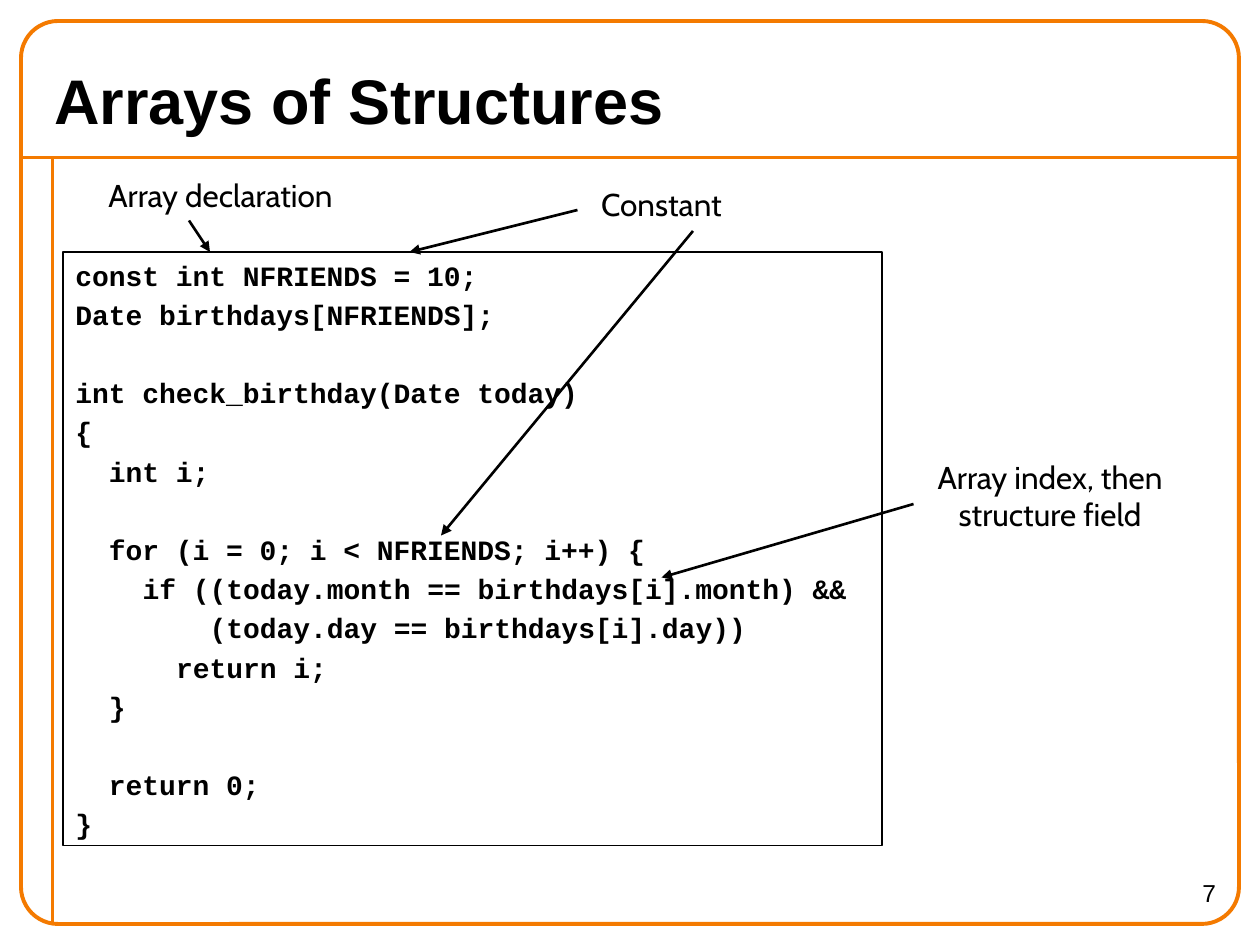
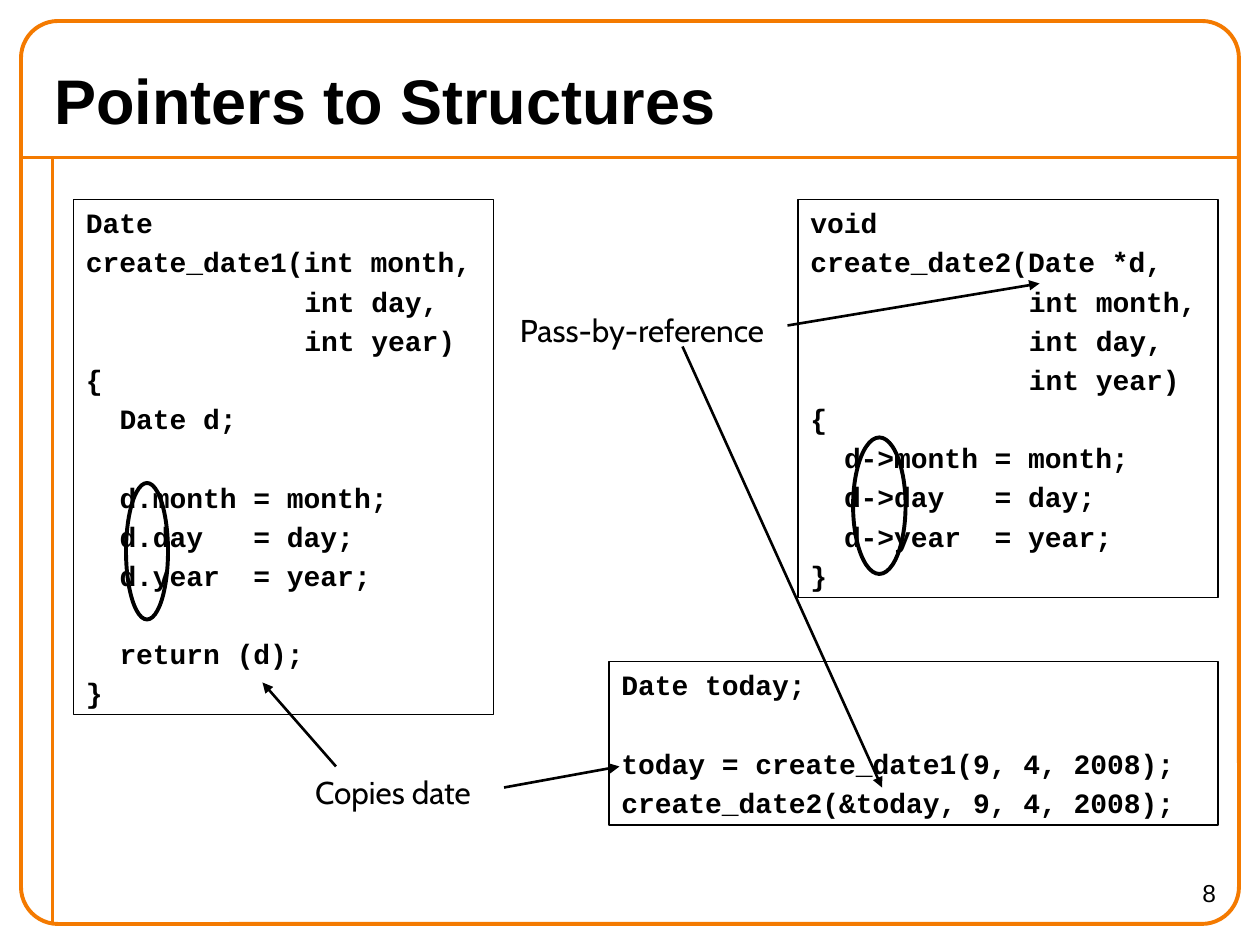
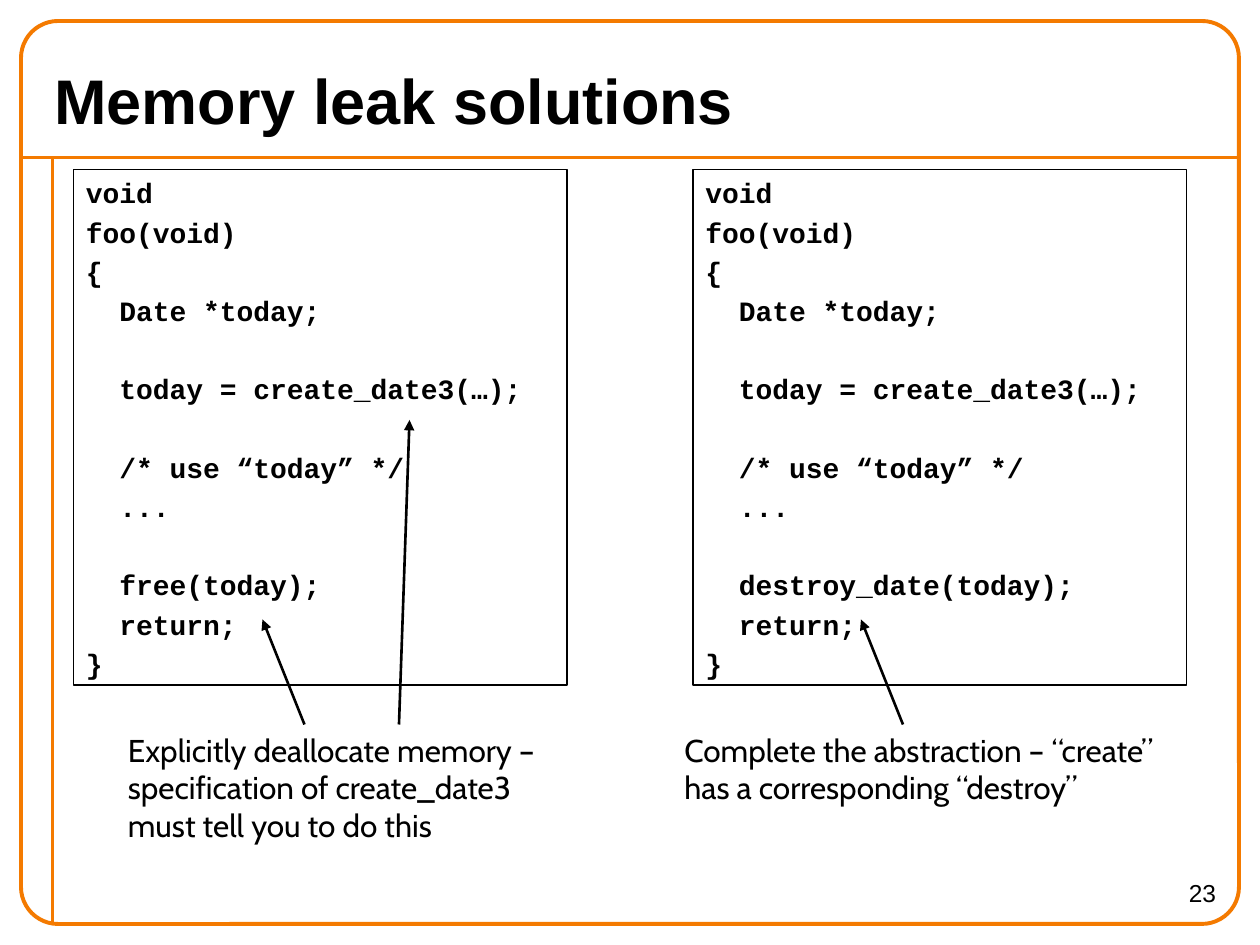
from dataclasses import dataclass

from lxml import etree
from pptx import Presentation
from pptx.dml.color import RGBColor
from pptx.enum.shapes import MSO_CONNECTOR, MSO_SHAPE
from pptx.enum.text import MSO_ANCHOR, PP_ALIGN
from pptx.oxml.ns import qn
from pptx.util import Pt

LEFT, CENTER, RIGHT = PP_ALIGN.LEFT, PP_ALIGN.CENTER, PP_ALIGN.RIGHT
TOP, MIDDLE = MSO_ANCHOR.TOP, MSO_ANCHOR.MIDDLE
RECT, ROUND_RECT, OVAL = MSO_SHAPE.RECTANGLE, MSO_SHAPE.ROUNDED_RECTANGLE, MSO_SHAPE.OVAL
STRAIGHT = MSO_CONNECTOR.STRAIGHT

BLACK, ORANGE = "000000", "F47A00"
HEAD_FONT, LABEL_FONT, CODE_FONT = "Arial", "Cabin", "Courier New"
THICK, MEDIUM, THIN = 2.24, 1.5, 0.74

CODE_SIZE = 16
CHAR_WIDTH = 0.6 * CODE_SIZE      # advance of one monospaced character
LINE_GAP = 0.2 * CODE_SIZE        # space before each code line
LINE_PITCH = 1.2 * CODE_SIZE + LINE_GAP


@dataclass
class Box:
    left: float
    top: float
    width: float
    height: float


@dataclass
class Code:
    box: Box
    text: str


@dataclass
class Label:
    box: Box
    text: str
    align: PP_ALIGN = LEFT


@dataclass
class Arrow:
    x1: float
    y1: float
    x2: float
    y2: float


@dataclass
class Ring:
    box: Box


@dataclass
class Page:
    title: str
    number: int
    items: list


# Drawing helpers
def rgb(color: str) -> RGBColor:
    return RGBColor.from_string(color)


def place(box: Box) -> tuple:
    return Pt(box.left), Pt(box.top), Pt(box.width), Pt(box.height)


def set_font(p, name: str, size: float, bold: bool = False) -> None:
    p.font.name, p.font.size, p.font.bold = name, Pt(size), bold
    p.font.color.rgb = rgb(BLACK)


def add_outline(s, kind, box: Box, color: str, weight: float):
    sp = s.shapes.add_shape(kind, *place(box))
    sp.shadow.inherit = False
    sp.fill.background()
    sp.line.color.rgb = rgb(color)
    sp.line.width = Pt(weight)
    return sp


def add_line(s, line: Arrow, color: str, weight: float, head: bool = False) -> None:
    cn = s.shapes.add_connector(STRAIGHT, Pt(line.x1), Pt(line.y1), Pt(line.x2), Pt(line.y2))
    cn.line.color.rgb = rgb(color)
    cn.line.width = Pt(weight)
    if head:
        etree.SubElement(cn.line._get_or_add_ln(), qn("a:tailEnd"), type="triangle")
    etree.SubElement(cn._element.spPr, qn("a:effectLst"))


def add_text(s, box: Box, text: str, font: str, size: float, bold: bool = False,
             align: PP_ALIGN = LEFT, anchor: MSO_ANCHOR = TOP) -> None:
    tf = s.shapes.add_textbox(*place(box)).text_frame
    tf.word_wrap = True
    tf.vertical_anchor = anchor
    p = tf.paragraphs[0]
    p.text, p.alignment = text, align
    set_font(p, font, size, bold)


def add_code(s, code: Code) -> None:
    """Draw a framed listing; leading spaces become indents, empty lines become spacing."""
    tf = add_outline(s, RECT, code.box, BLACK, THIN).text_frame
    tf.word_wrap = True
    tf.vertical_anchor = TOP
    p, before = tf.paragraphs[0], LINE_GAP
    for line in code.text.strip("\n").split("\n"):
        if not line:
            before += LINE_PITCH
            continue
        if p.text:
            p = tf.add_paragraph()
        p.text = line.lstrip()
        p.alignment, p.space_before = LEFT, Pt(before)
        set_font(p, CODE_FONT, CODE_SIZE, bold=True)
        indent = (len(line) - len(p.text)) * CHAR_WIDTH
        p._p.get_or_add_pPr().set("marL", str(Pt(indent)))
        before = LINE_GAP


def add_frame(s, page: Page) -> None:
    add_line(s, Arrow(12, 90, 708, 90), ORANGE, THICK)
    add_line(s, Arrow(30, 90, 30, 528), ORANGE, THICK)
    frame = add_outline(s, ROUND_RECT, Box(12, 12, 696, 516), ORANGE, THICK)
    frame.adjustments[0] = 0.041
    add_text(s, Box(24, 30, 672, 54), page.title, HEAD_FONT, 36, bold=True, anchor=MIDDLE)
    add_text(s, Box(630, 498, 72, 30), str(page.number), HEAD_FONT, 14, align=RIGHT)


def add_item(s, item) -> None:
    if isinstance(item, Code):
        add_code(s, item)
    elif isinstance(item, Label):
        add_text(s, item.box, item.text, LABEL_FONT, 18, align=item.align)
    elif isinstance(item, Arrow):
        add_line(s, item, BLACK, MEDIUM, head=True)
    else:
        add_outline(s, OVAL, item.box, BLACK, THICK)


# Listings
CHECK_BIRTHDAY = """
const int NFRIENDS = 10;
Date birthdays[NFRIENDS];

int check_birthday(Date today)
{
  int i;

  for (i = 0; i < NFRIENDS; i++) {
    if ((today.month == birthdays[i].month) &&
        (today.day == birthdays[i].day))
      return i;
  }

  return 0;
}
"""

CREATE_BY_VALUE = """
Date
create_date1(int month,
             int day,
             int year)
{
  Date d;

  d.month = month;
  d.day   = day;
  d.year  = year;

  return (d);
}
"""

CREATE_BY_REFERENCE = """
void
create_date2(Date *d,
             int month,
             int day,
             int year)
{
  d->month = month;
  d->day   = day;
  d->year  = year;
}
"""

CALLS = """
Date today;

today = create_date1(9, 4, 2008);
create_date2(&today, 9, 4, 2008);
"""


def foo_listing(cleanup: str) -> str:
    return f"""
void
foo(void)
{{
  Date *today;

  today = create_date3(…);

  /* use “today” */
  ...

  {cleanup}(today);
  return;
}}
"""


# Slides
PAGES = [
    Page("Arrays of Structures", 7, [
        Code(Box(36, 144, 468, 339), CHECK_BIRTHDAY),
        Arrow(330, 120, 234, 144),
        Label(Box(324, 102, 108, 29), "Constant", CENTER),
        Arrow(108, 126, 120, 144),
        Label(Box(36, 97, 180, 29), "Array declaration", CENTER),
        Arrow(522, 288, 378, 330),
        Label(Box(510, 258, 180, 50), "Array index, then structure field", CENTER),
        Arrow(396, 132, 252, 306),
    ]),
    Page("Pointers to Structures", 8, [
        Code(Box(42, 114, 240, 294.5), CREATE_BY_VALUE),
        Code(Box(456, 114, 240, 227.5), CREATE_BY_REFERENCE),
        Arrow(192, 438, 150, 390),
        Label(Box(173, 438, 121, 29), "Copies date"),
        Arrow(450, 186, 594, 162),
        Label(Box(290, 174, 174, 29), "Pass-by-reference"),
        Ring(Box(72, 276, 24, 78)),
        Ring(Box(487.5, 250, 30, 78)),
        Code(Box(348, 378, 348, 93.5), CALLS),
        Arrow(288, 450, 354, 438),
        Arrow(390, 198, 504, 450),
    ]),
    Page("Memory leak solutions", 23, [
        Code(Box(42, 97, 282, 294.5), foo_listing("free")),
        Code(Box(396, 97, 282, 294.5), foo_listing("destroy_date")),
        Arrow(174, 414, 150, 354),
        Arrow(228, 414, 234, 240),
        Label(Box(66, 414, 264, 94),
              "Explicitly deallocate memory – specification of create_date3 "
              "must tell you to do this"),
        Label(Box(384, 414, 300, 72),
              "Complete the abstraction – “create” has a corresponding “destroy”"),
        Arrow(516, 414, 492, 354),
    ]),
]

prs = Presentation()
prs.slide_width, prs.slide_height = Pt(720), Pt(540)
blank = prs.slide_layouts[6]
for page in PAGES:
    s = prs.slides.add_slide(blank)
    add_frame(s, page)
    for item in page.items:
        add_item(s, item)
prs.save("out.pptx")
